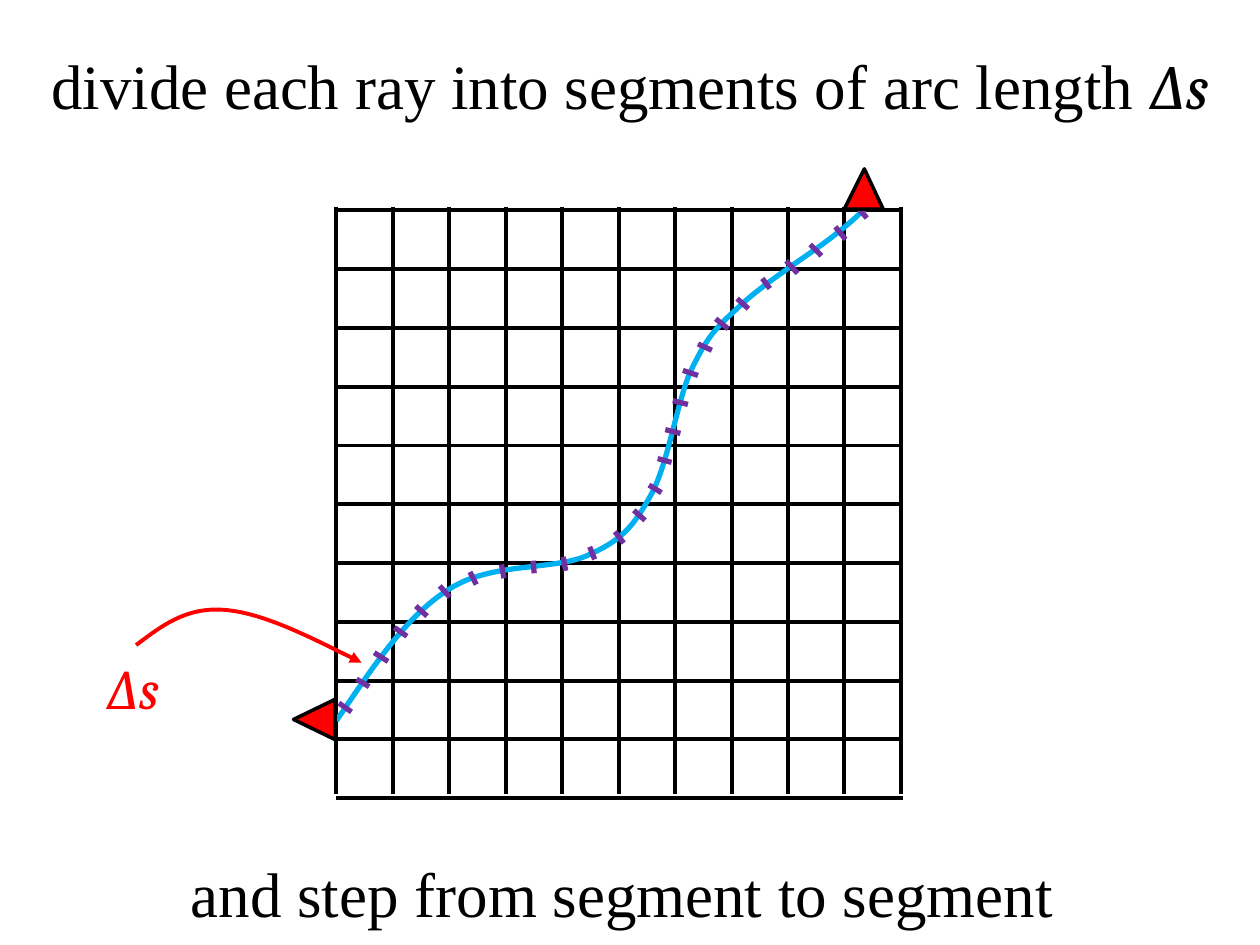
import pptx
import pptx.dml.color
import pptx.enum.shapes
import pptx.enum.text
import pptx.oxml
import pptx.oxml.ns
import pptx.util

theme = {
    "grid": "000000", "ray": "00B0F0", "mark": "7030A0", "accent": "FF0000",
    "text": "000000", "body": "Times New Roman", "math": "Cambria",
    "caption": 36, "label": 32, "thin": 2, "medium": 2.25, "thick": 3,
}
rgb = pptx.dml.color.RGBColor.from_string
drawing = pptx.oxml.ns.nsdecls("a")

deck = pptx.Presentation()
deck.slide_width = pptx.util.Inches(10)
deck.slide_height = pptx.util.Inches(7.5)
column = deck.slide_width / 10
row = deck.slide_height / 7.5
slide = deck.slides.add_slide(deck.slide_layouts[6])


def draw_line(start, end, colour, width):
    line = slide.shapes.add_connector(
        pptx.enum.shapes.MSO_CONNECTOR.STRAIGHT,
        round(start[0] * column), round(start[1] * row),
        round(end[0] * column), round(end[1] * row))
    line.line.color.rgb = rgb(theme[colour])
    line.line.width = pptx.util.Pt(theme[width])
    line._element.spPr.append(pptx.oxml.parse_xml(f"<a:effectLst {drawing}/>"))


def draw_outline(points, colour, width, fill=None):
    scaled = [(round(x * column), round(y * row)) for x, y in points]
    builder = slide.shapes.build_freeform(*scaled[0])
    builder.add_line_segments(scaled[1:], close=fill is not None)
    outline = builder.convert_to_shape()
    outline.shadow.inherit = False
    outline.line.color.rgb = rgb(theme[colour])
    outline.line.width = pptx.util.Pt(theme[width])
    if fill:
        outline.fill.solid()
        outline.fill.fore_color.rgb = rgb(theme[fill])
        return outline
    outline.fill.background()
    segments = outline._element.xpath(".//a:lnTo")
    for first in range(0, len(segments), 3):
        curve = pptx.oxml.parse_xml(f"<a:cubicBezTo {drawing}/>")
        segments[first].addprevious(curve)
        for segment in segments[first:first + 3]:
            curve.append(segment[0])
            segment.getparent().remove(segment)
    return outline


cells = 10
left, top, cell_width, cell_height = 2.67, 1.67, 0.448, 0.4665
for step in range(cells + 1):
    y = top + step * cell_height
    draw_line((left, y), (left + 4.5, y), "grid", "medium")
for step in range(cells + 1):
    x = left + step * cell_width
    draw_line((x, top - 0.03), (x, top + 4.63), "grid", "medium")

ray = [
    (2.67, 5.72), (2.95, 5.31), (3.22, 4.89), (3.56, 4.68),
    (3.89, 4.46), (4.39, 4.53), (4.66, 4.41),
    (4.93, 4.29), (5.02, 4.19), (5.16, 3.94),
    (5.3, 3.7), (5.37, 3.2), (5.48, 2.95),
    (5.6, 2.7), (5.66, 2.62), (5.85, 2.45),
    (6.03, 2.27), (6.41, 2.03), (6.58, 1.9),
    (6.75, 1.77), (6.81, 1.71), (6.87, 1.65),
]
draw_outline(ray, "ray", "thick")

segment_marks = [
    (2.69, 5.58, 2.79, 5.65), (2.83, 5.39, 2.93, 5.45), (2.97, 5.18, 3.08, 5.25),
    (3.13, 4.98, 3.23, 5.05), (3.3, 4.81, 3.39, 4.89), (3.49, 4.65, 3.57, 4.74),
    (3.73, 4.54, 3.78, 4.64), (3.98, 4.48, 4, 4.59), (4.23, 4.45, 4.24, 4.55),
    (4.47, 4.42, 4.49, 4.53), (4.68, 4.34, 4.72, 4.44), (4.88, 4.22, 4.95, 4.31),
    (5.03, 4.05, 5.12, 4.13), (5.15, 3.85, 5.25, 3.91), (5.22, 3.64, 5.33, 3.67),
    (5.28, 3.41, 5.4, 3.44), (5.34, 3.18, 5.46, 3.21), (5.42, 2.94, 5.54, 2.98),
    (5.54, 2.73, 5.65, 2.78), (5.68, 2.53, 5.78, 2.61), (5.85, 2.37, 5.94, 2.45),
    (6.05, 2.21, 6.11, 2.29), (6.24, 2.07, 6.33, 2.17), (6.43, 1.94, 6.52, 2.03),
    (6.63, 1.8, 6.71, 1.9), (6.8, 1.64, 6.88, 1.73),
]
for x0, y0, x1, y1 in segment_marks:
    draw_line((x0, y0), (x1, y1), "mark", "thick")

source = [(2.33, 5.71), (2.66, 5.87), (2.66, 5.55)]
receiver = [(6.86, 1.34), (6.7, 1.66), (7.01, 1.66)]
for station in (source, receiver):
    draw_outline(station, "grid", "thin", "accent")

pointer = [
    (1.08, 5.12), (1.28, 4.97), (1.47, 4.82), (1.77, 4.84),
    (2.07, 4.86), (2.47, 5.06), (2.87, 5.26),
]
arrow = draw_outline(pointer, "accent", "medium")
arrow._element.spPr.find(pptx.oxml.ns.qn("a:ln")).append(
    pptx.oxml.parse_xml(f'<a:tailEnd {drawing} type="triangle"/>'))

align = pptx.enum.text.PP_ALIGN
anchor = pptx.enum.text.MSO_ANCHOR
captions = [
    ((0.75, 5.14, 0.75, 0.64), align.LEFT, anchor.TOP, "label", "accent",
     [("∆s", "math")]),
    ((0, 0.25, 10, 0.84), align.CENTER, anchor.MIDDLE, "caption", "text",
     [("divide each ray into segments of arc length ", "body"), ("∆s", "math")]),
    ((0, 6.67, 10, 0.83), align.CENTER, anchor.MIDDLE, "caption", "text",
     [("and step from segment to segment ", "body")]),
]
for (x, y, width, height), alignment, position, size, colour, wording in captions:
    frame = slide.shapes.add_textbox(
        round(x * column), round(y * row),
        round(width * column), round(height * row)).text_frame
    frame.word_wrap = True
    frame.vertical_anchor = position
    paragraph = frame.paragraphs[0]
    paragraph.alignment = alignment
    paragraph.font.size = pptx.util.Pt(theme[size])
    paragraph.font.color.rgb = rgb(theme[colour])
    for words, face in wording:
        run = paragraph.add_run()
        run.text = words
        run.font.name = theme[face]
        run.font.italic = face == "math"

deck.save("out.pptx")
